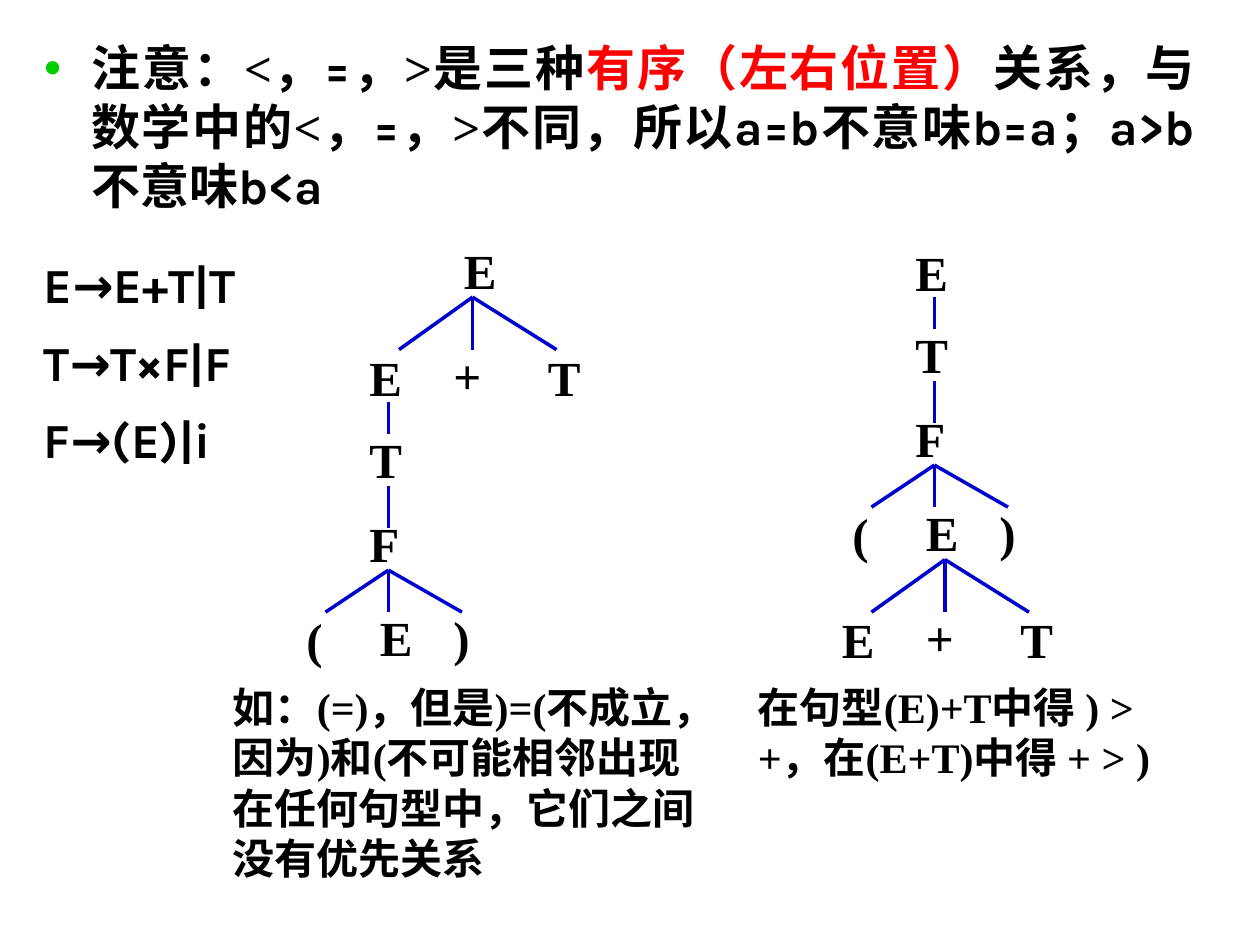
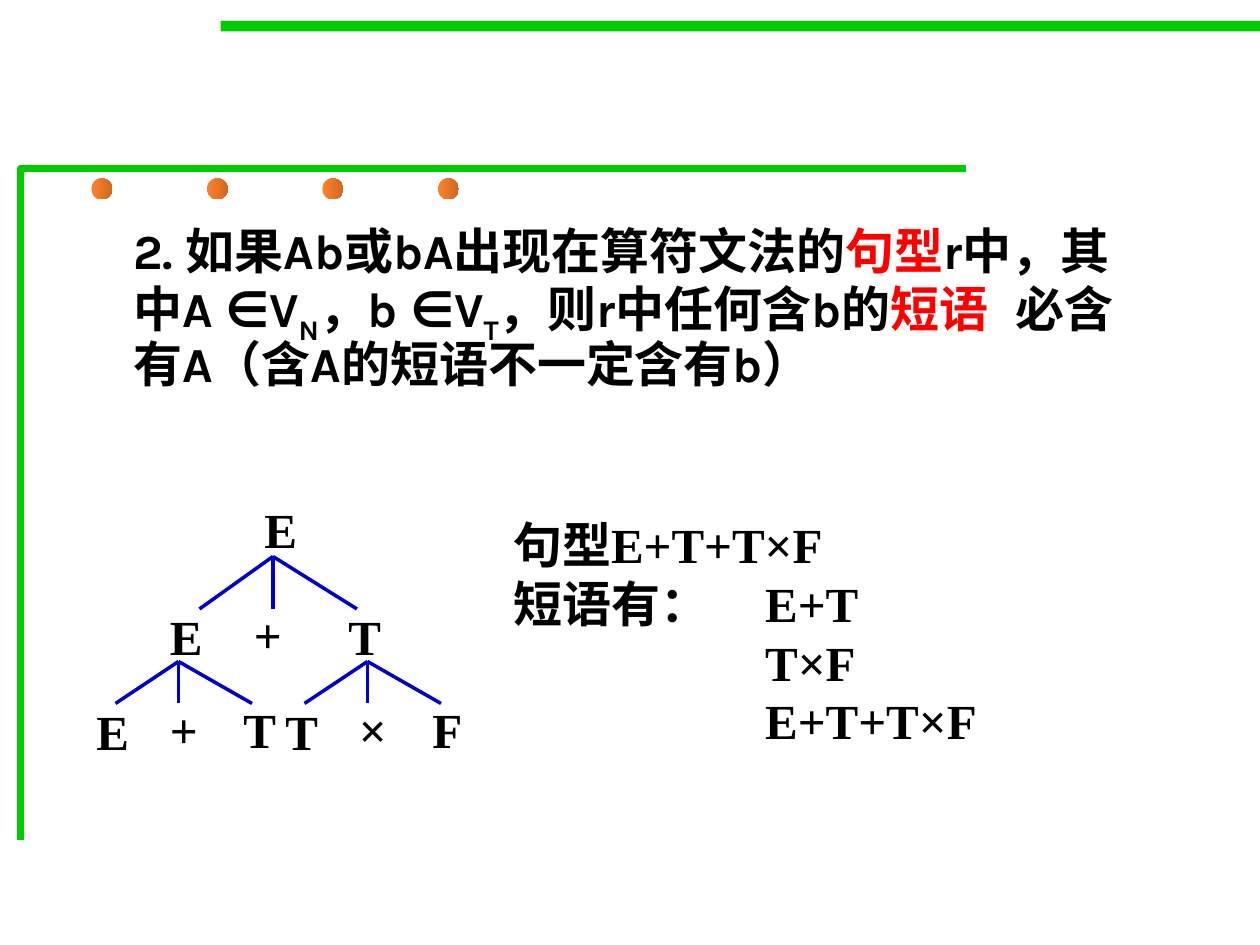
from lxml import etree
from pptx import Presentation
from pptx import util as u
from pptx.dml.color import RGBColor
from pptx.enum import shapes, text
from pptx.oxml.ns import qn

PX = 7620
COLOURS = {
    "ink": "000000",
    "accent": "FF0000",
    "green": "00CC00",
    "branch": "0000CC",
    "dot_light": "FF822D",
    "dot_dark": "CD6924",
}
SERIF, SANS = "Times New Roman", "Karla"
NODE = (60, 68)
HANGING = 45
TAB = 120
WIDE_FAN = {
    "labels": [(-110, 42), (-30, 40), (60, 42)],
    "ends": [(-70, 50), (0, 50), (80, 50)],
}
NARROW_FAN = {
    "labels": [(-90, 32), (-20, 30), (50, 30)],
    "ends": [(-60, 40), (0, 40), (70, 40)],
}


def px(*lengths):
    """Turn px lengths into a list of EMU lengths."""
    return [u.Emu(length * PX) for length in lengths]


def colour(name):
    """Return a named colour."""
    return RGBColor.from_string(COLOURS[name])


def apply(target, values):
    """Set every attribute in a dict of format values."""
    for name, value in values.items():
        setattr(target, name, value)


def set_paragraph(paragraph, **properties):
    """Set the tab distance, plain line ends and other paragraph properties."""
    element = paragraph._p.get_or_add_pPr()
    for name, value in {"defTabSz": TAB * PX, "hangingPunct": 0, **properties}.items():
        element.set(name, str(value))
    return element


def add_runs(paragraph, runs, size=28):
    """Add bold runs given as (text, font, colour, baseline), the last two optional."""
    for words, font, *rest in runs:
        tone, baseline = (rest + ["ink", 0][len(rest):])
        run = paragraph.add_run()
        run.text = words
        apply(run.font, {"size": u.Pt(size), "bold": True, "name": font})
        run.font.color.rgb = colour(tone)
        if baseline:
            run._r.get_or_add_rPr().set("baseline", str(baseline * 1000))


def add_text(container, box, lines, font=SERIF, size=28, **spacing):
    """Add a text box with one paragraph a line."""
    shape = container.shapes.add_textbox(*px(*box))
    frame = shape.text_frame
    apply(frame, {"word_wrap": True, "auto_size": text.MSO_AUTO_SIZE.SHAPE_TO_FIT_TEXT})
    for index, line in enumerate(lines):
        paragraph = frame.add_paragraph() if index else frame.paragraphs[0]
        apply(paragraph, spacing)
        if not index:
            paragraph.space_before = u.Pt(0)
        set_paragraph(paragraph)
        add_runs(paragraph, [(line, font)], size)


def add_body(slide, box, runs, bullet=None, **formats):
    """Place the body placeholder and fill it with one hanging paragraph."""
    body = slide.placeholders[1]
    apply(body, dict(zip(("left", "top", "width", "height"), px(*box))))
    apply(body.text_frame, {"word_wrap": True, "auto_size": text.MSO_AUTO_SIZE.NONE})
    paragraph = body.text_frame.paragraphs[0]
    apply(paragraph, {"space_before": u.Pt(0), **formats})
    properties = set_paragraph(paragraph, marL=HANGING * PX, indent=-HANGING * PX)
    if bullet:
        bullet_colour = etree.SubElement(properties, qn("a:buClr"))
        etree.SubElement(bullet_colour, qn("a:srgbClr")).set("val", COLOURS["green"])
        etree.SubElement(properties, qn("a:buChar")).set("char", bullet)
    else:
        etree.SubElement(properties, qn("a:buNone"))
    add_runs(paragraph, runs)


def add_node(tree, x, y, symbol):
    """Add one grammar symbol."""
    add_text(tree, (x, y, *NODE), [symbol])


def add_branch(tree, start, end):
    """Add one line between two symbols."""
    line = tree.shapes.add_connector(shapes.MSO_CONNECTOR.STRAIGHT, *px(*start, *end))
    line.line.color.rgb = colour("branch")
    line.line.width = u.Pt(2)
    etree.SubElement(line._element.spPr, qn("a:effectLst"))


def add_fan(tree, x, y, symbols, fan):
    """Add three branches from an apex, with a symbol under each."""
    for symbol, (label_x, label_y), (end_x, end_y) in zip(symbols, fan["labels"], fan["ends"]):
        add_node(tree, x + label_x, y + label_y, symbol)
        add_branch(tree, (x, y), (x + end_x, y + end_y))


def add_root_fan(tree, x, y):
    """Add the root E with its expansion E+T."""
    add_node(tree, x - 20, y - 60, "E")
    add_fan(tree, x, y, "E+T", WIDE_FAN)


def add_factor_chain(tree, x, y, with_root=True):
    """Add the chain E, T, F, (E) downwards from a corner."""
    for symbol, drop in zip("ETF", (0, 78, 158)):
        if symbol != "E" or with_root:
            add_node(tree, x, y + drop, symbol)
    for top, bottom in ((58, 88), (138, 178)):
        add_branch(tree, (x + 30, y + top), (x + 30, y + bottom))
    add_fan(tree, x + 30, y + 218, "(E)", NARROW_FAN)


def add_frame(slide):
    """Add the green band, the corner line and the row of dots."""
    band = slide.shapes.add_shape(shapes.MSO_SHAPE.RECTANGLE, *px(210, 20, 990, 10))
    band.fill.solid()
    band.fill.fore_color.rgb = colour("green")
    builder = slide.shapes.build_freeform(*px(20, 800))
    builder.add_line_segments([px(20, 160), px(920, 160)], close=False)
    corner = builder.convert_to_shape()
    corner.fill.background()
    corner.line.color.rgb = colour("green")
    corner.line.width = u.Pt(4)
    dots = [
        slide.shapes.add_shape(shapes.MSO_SHAPE.OVAL, *px(87 + 110 * column, 170, 20, 20))
        for column in range(4)
    ]
    for dot in dots:
        dot.fill.gradient()
        dot.fill.gradient_angle = 0
        for stop, position, tone in zip(dot.fill.gradient_stops, (0, 1), ("dot_light", "dot_dark")):
            stop.position = position
            stop.color.rgb = colour(tone)
    for shape in (band, corner, *dots):
        shape.shadow.inherit = False
    for shape in (band, *dots):
        shape.line.fill.background()


def add_slide(presentation):
    """Add a slide with a body and no title."""
    slide = presentation.slides.add_slide(presentation.slide_layouts[1])
    title = slide.shapes.title._element
    title.getparent().remove(title)
    return slide


def build_order_slide(presentation):
    """Build the slide on the ordered precedence relations."""
    slide = add_slide(presentation)
    add_body(slide, (30, 30, 1120, 140), [
        ("注意：<，", SERIF),
        ("=，", SANS),
        (">是三种", SERIF),
        ("有序（左右位置）", SERIF, "accent"),
        ("关系，与数学中的<，", SERIF),
        ("=，", SANS),
        (">不同，所以", SERIF),
        ("a=b", SANS),
        ("不意味", SERIF),
        ("b=a；a>b", SANS),
        ("不意味", SERIF),
        ("b<a", SANS),
    ], bullet="•", alignment=text.PP_ALIGN.JUSTIFY)

    left_tree = slide.shapes.add_group_shape()
    add_root_fan(left_tree, 450, 283)
    add_factor_chain(left_tree, 340, 325, with_root=False)
    add_text(slide, (210, 643, 490, 204),
             ["如：(=)，但是)=(不成立，因为)和(不可能相邻出现在任何句型中，它们之间没有优先关系"], size=24)
    add_text(slide, (30, 243, 310, 220), ["E→E+T|T", "T→T×F|F", "F→(E)|i"],
             font=SANS, line_spacing=0.9, space_before=u.Pt(14))

    right_tree = slide.shapes.add_group_shape()
    add_factor_chain(right_tree, 860, 225)
    add_fan(right_tree, 900, 533, "E+T", WIDE_FAN)
    add_text(slide, (710, 643, 430, 108), ["在句型(E)+T中得 ) > +，在(E+T)中得 + > )"], size=24)


def build_phrase_slide(presentation):
    """Build the slide on phrases of an operator grammar."""
    slide = add_slide(presentation)
    add_frame(slide)
    add_body(slide, (70, 210, 1020, 180), [
        ("\t2. 如果Ab或bA出现在算符文法的", SANS),
        ("句型", SANS, "accent"),
        ("r中，其\t中A ∈V", SANS),
        ("N", SANS, "ink", -25),
        ("，b ∈V", SANS),
        ("T", SANS, "ink", -25),
        ("，则r中任何含b的", SANS),
        ("短语\t", SANS, "accent"),
        ("必含有A（含A的短语不一定含有b）", SANS),
    ], line_spacing=0.9)

    tree = slide.shapes.add_group_shape()
    add_root_fan(tree, 260, 530)
    for x, symbols in ((170, "E+T"), (350, "T×F")):
        add_fan(tree, x, 630, symbols, NARROW_FAN)
    add_text(slide, (477, 484, 593, 236),
             ["句型E+T+T×F", "短语有：\tE+T", "\t\tT×F", "\t\tE+T+T×F"])


def main():
    """Build and save the presentation."""
    presentation = Presentation()
    presentation.slide_width, presentation.slide_height = px(1200, 900)
    build_order_slide(presentation)
    build_phrase_slide(presentation)
    presentation.save("out.pptx")


if __name__ == "__main__":
    main()
